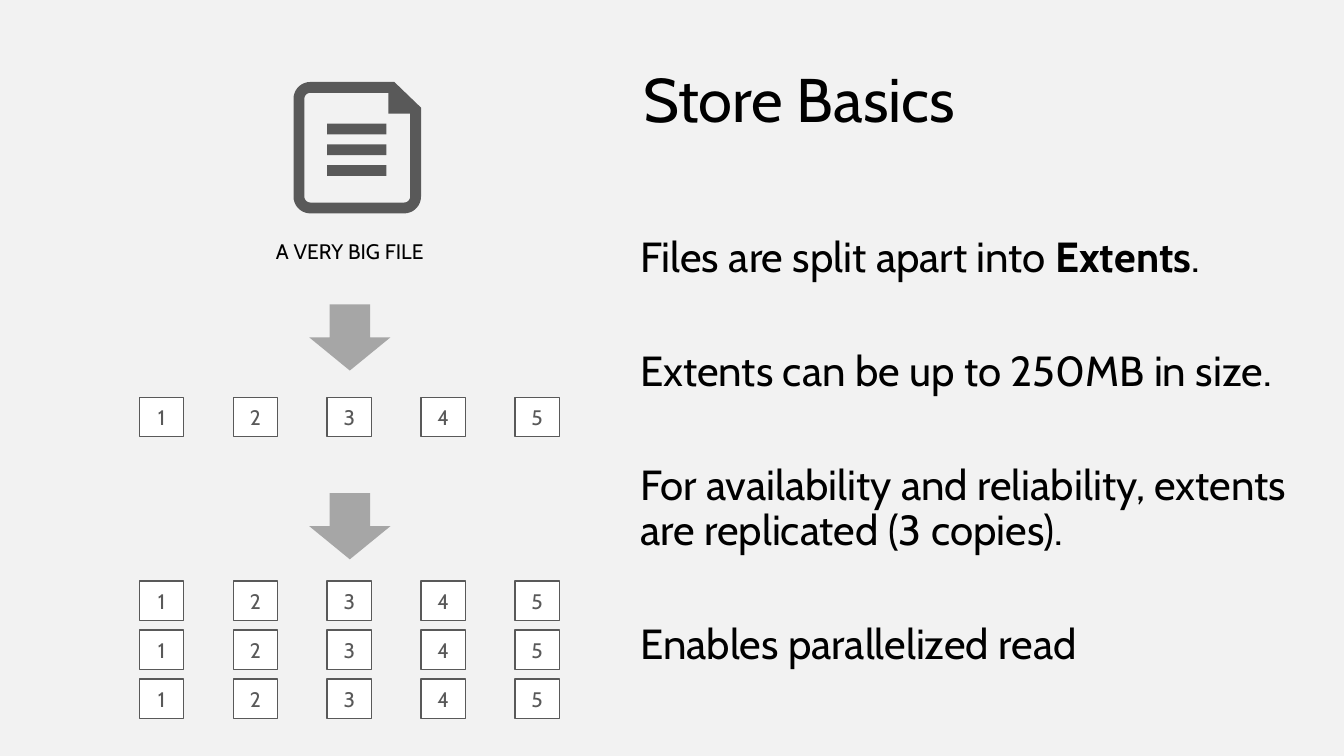
import collections
import math

import pptx
import pptx.dml.color
import pptx.enum.shapes
import pptx.enum.text
import pptx.util

# Grid: 136 columns by 76.5 rows of square cells
COLUMNS, ROWS = 136, 76.5
CELL = pptx.util.Inches(0.1)
FONT = "Cabin"
COLORS = {
    "background": "F2F2F2",
    "text": "000000",
    "ink": "595959",
    "arrow": "A6A6A6",
    "tile": "FFFFFF",
}
EXTENTS = ["1", "2", "3", "4", "5"]
FACTS = [
    [("Files are split apart into ", False), ("Extents", True), (".", False)],
    [("Extents can be up to 250MB in size.", False)],
    [("For availability and reliability, extents are replicated (3 copies).", False)],
    [("Enables parallelized read", False)],
]
SHAPE = pptx.enum.shapes.MSO_SHAPE
CENTER = pptx.enum.text.PP_ALIGN.CENTER
MIDDLE = pptx.enum.text.MSO_ANCHOR.MIDDLE
TOP = pptx.enum.text.MSO_ANCHOR.TOP
Box = collections.namedtuple("Box", "left top width height")


def cells(*lengths):
    return [round(length * CELL) for length in lengths]


def rgb(name):
    return pptx.dml.color.RGBColor.from_string(COLORS[name])


def paint(shape, fill, line=None):
    shape.shadow.inherit = False
    shape.fill.solid()
    shape.fill.fore_color.rgb = rgb(fill)
    if line:
        shape.line.color.rgb = rgb(line)
        shape.line.width = pptx.util.Pt(1)
    else:
        shape.line.fill.background()


def add_block(parts, preset, box, fill, line=None):
    block = parts.add_shape(preset, *cells(*box))
    paint(block, fill, line)
    return block


def set_font(paragraph, size, color="text"):
    paragraph.font.name = FONT
    paragraph.font.size = pptx.util.Pt(size)
    paragraph.font.color.rgb = rgb(color)


def add_text(slide, box, anchor=MIDDLE):
    frame = slide.shapes.add_textbox(*cells(*box)).text_frame
    frame.word_wrap = True
    frame.vertical_anchor = anchor
    return frame


# Headline
def add_headline(slide, box):
    headline = add_text(slide, box).paragraphs[0]
    headline.text = "Store Basics"
    headline.line_spacing = 0.9
    set_font(headline, 44.9)


# Facts about extents
def add_facts(slide, box):
    frame = add_text(slide, box, TOP)
    for index, pieces in enumerate(FACTS):
        fact = frame.add_paragraph() if index else frame.paragraphs[0]
        fact.line_spacing = 0.9
        fact.space_before = pptx.util.Pt(50 if index else 8.5)
        set_font(fact, 30.6)
        for words, bold in pieces:
            run = fact.add_run()
            run.text = words
            run.font.bold = bold


# File icon
def page_outline(left, top, right, bottom, radius, fold):
    """Three rounded corners, counterclockwise from top left, then the fold."""
    corners = [
        (left + radius, top + radius, 90),
        (left + radius, bottom - radius, 180),
        (right - radius, bottom - radius, 270),
    ]
    arcs = [
        (x + radius * math.cos(math.radians(start + turn)),
         y - radius * math.sin(math.radians(start + turn)))
        for x, y, start in corners
        for turn in range(0, 91, 10)
    ]
    return arcs + fold


def add_file_icon(slide, box):
    icon = slide.shapes.add_group_shape().shapes
    for line in range(3):
        text_line = Box(box.left + 3.4, box.top + 4.2 + 2.1 * line, 6, 1.1)
        add_block(icon, SHAPE.RECTANGLE, text_line, "ink")

    width, height, border = box.width, box.height, 1.1
    edge = page_outline(0, 0, width, height, 1.7,
                        [(width, 2.6), (width - 2.7, 0)])
    inside = width - border
    opening = page_outline(border, border, inside, height - border, 0.6,
                           [(inside, 3.2), (9.6, 3.2), (9.6, border)])
    edge, opening = [
        [cells(box.left + x, box.top + y) for x, y in outline]
        for outline in (edge, opening[::-1])
    ]
    page = icon.build_freeform(*edge[0])
    page.add_line_segments(edge[1:])
    page.move_to(*opening[0])
    page.add_line_segments(opening[1:])
    paint(page.convert_to_shape(), "ink")


def add_caption(slide, box):
    caption = add_text(slide, box).paragraphs[0]
    caption.text = "A VERY BIG FILE"
    caption.alignment = CENTER
    set_font(caption, 15.3)


# Numbered extents, spread evenly over the width of the box
def add_extent_row(slide, box, tile_width=4.5):
    row = slide.shapes.add_group_shape().shapes
    pitch = (box.width - tile_width) / (len(EXTENTS) - 1)
    for index, number in enumerate(EXTENTS):
        place = Box(box.left + index * pitch, box.top, tile_width, box.height)
        frame = add_block(row, SHAPE.RECTANGLE, place, "tile", "ink").text_frame
        frame.margin_left = frame.margin_right = 0
        frame.vertical_anchor = MIDDLE
        extent = frame.paragraphs[0]
        extent.text = number
        extent.alignment = CENTER
        set_font(extent, 15.3, "ink")


# Left half: file, split into extents, replicated three times
def add_diagram(slide, box):
    add_file_icon(slide, Box(box.left + 18.5, box.top, 12.9, 13.3))
    add_caption(slide, Box(box.left, box.top + 15.1, box.width, 4))
    for arrow_top in (22.5, 41.6):
        arrow = Box(box.left + (box.width - 8.2) / 2, box.top + arrow_top, 8.2, 6.7)
        add_block(slide.shapes, SHAPE.DOWN_ARROW, arrow, "arrow")
    replica_tops = [50.5 + 4.95 * replica for replica in range(3)]
    for row_top in [31.9] + replica_tops:
        add_extent_row(slide, Box(box.left + 2.9, box.top + row_top, 42.5, 4))


deck = pptx.Presentation()
deck.slide_width, deck.slide_height = cells(COLUMNS, ROWS)
store_basics = deck.slides.add_slide(deck.slide_layouts[6])
store_basics.background.fill.solid()
store_basics.background.fill.fore_color.rgb = rgb("background")
add_headline(store_basics, Box(64.1, 2.1, 71.9, 16.6))
add_diagram(store_basics, Box(11.2, 8.3, 48.4, 64.4))
add_facts(store_basics, Box(63.8, 23.4, 70.1, 51))
deck.save("out.pptx")
